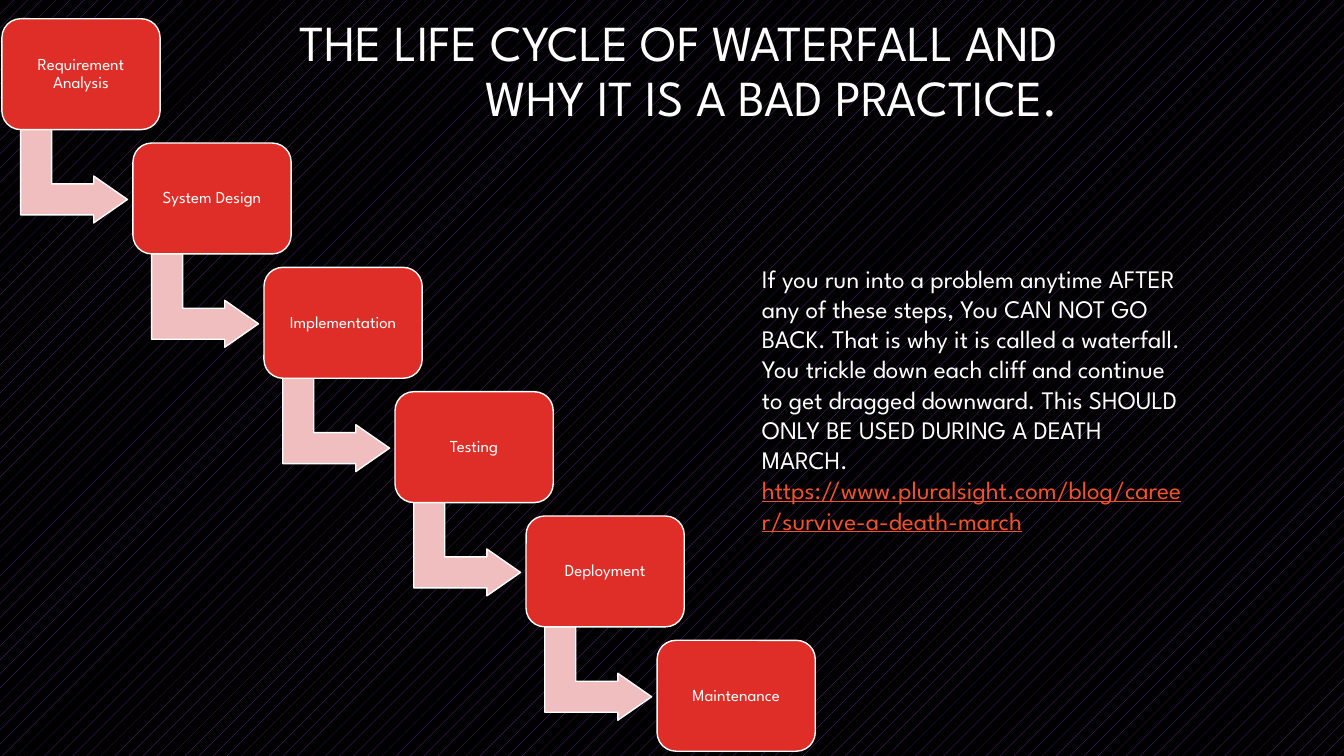
from pptx import Presentation
from pptx.dml.color import RGBColor
from pptx.enum import dml, shapes, text
from pptx.util import Pt

TITLE = "THE LIFE CYCLE OF WATERFALL AND WHY IT IS A BAD PRACTICE."
STEPS = ["Requirement Analysis", "System Design", "Implementation",
         "Testing", "Deployment", "Maintenance"]
WARNING = ("If you run into a problem anytime AFTER any of these steps, You CAN NOT GO BACK. "
           "That is why it is called a waterfall. You trickle down each cliff and continue "
           "to get dragged downward. This SHOULD ONLY BE USED DURING A DEATH MARCH. ")
ADDRESS = "https://www.pluralsight.com/blog/career/survive-a-death-march"

THEME = {
    "font": "League Spartan",
    "title": 36, "body": 18, "step": 12,
    "white": RGBColor.from_string("FFFFFF"),
    "black": RGBColor.from_string("000000"),
    "purple": RGBColor.from_string("7030A0"),
    "red": RGBColor.from_string("DF2E28"),
    "pink": RGBColor.from_string("F0BEBE"),
    "link": RGBColor.from_string("F0532B"),
}

TITLE_BOX = (196.6, 10.1, 566.6, 83.5)
WARNING_BOX = (537.1, 184.3, 316.1, 225.4)
STEP_LEFT, STEP_TOP = 1.4, 13.4
STEP_W, STEP_H = 113, 79.2
STEP_DX, STEP_DY = 93.6, 88.8
ARROW_DX, ARROW_DY = 18, 74.2
ARROW_W, ARROW_H = 67, 76.3


def add_run(p, words, size, color="white", underline=None):
    r = p.add_run()
    r.text = words
    r.font.name = THEME["font"]
    r.font.size = Pt(size)
    r.font.color.rgb = THEME[color]
    r.font.underline = underline


def add_box(s, box):
    tf = s.shapes.add_textbox(*map(Pt, box)).text_frame
    tf.word_wrap = True
    return tf


def add_shape(s, kind, box, fill, adjustments):
    sp = s.shapes.add_shape(kind, *map(Pt, box))
    sp.shadow.inherit = False
    sp.fill.solid()
    sp.fill.fore_color.rgb = THEME[fill]
    sp.line.color.rgb = THEME["white"]
    sp.line.width = Pt(1)
    for i, value in enumerate(adjustments):
        sp.adjustments[i] = value
    return sp


def add_step(s, i, label):
    left, top = STEP_LEFT + i * STEP_DX, STEP_TOP + i * STEP_DY
    if i < len(STEPS) - 1:
        arrow = add_shape(s, shapes.MSO_SHAPE.BENT_UP_ARROW,
                          (left + ARROW_DX, top + ARROW_DY, ARROW_W, ARROW_H),
                          "pink", (0.33, 0.25, 0.36))
        arrow.rotation = 90
    sp = add_shape(s, shapes.MSO_SHAPE.ROUNDED_RECTANGLE,
                   (left, top, STEP_W, STEP_H), "red", (0.17,))
    tf = sp.text_frame
    tf.word_wrap = True
    tf.vertical_anchor = text.MSO_ANCHOR.MIDDLE
    tf.margin_left = tf.margin_right = tf.margin_top = tf.margin_bottom = Pt(3.6)
    p = tf.paragraphs[0]
    p.alignment = text.PP_ALIGN.CENTER
    p.line_spacing = 0.9
    add_run(p, label, THEME["step"])


def main():
    prs = Presentation()
    prs.slide_width, prs.slide_height = Pt(960), Pt(540)
    s = prs.slides.add_slide(prs.slide_layouts[6])

    fill = s.background.fill
    fill.patterned()
    fill.pattern = dml.MSO_PATTERN.PERCENT_5
    fill.fore_color.rgb = THEME["purple"]
    fill.back_color.rgb = THEME["black"]

    tf = add_box(s, TITLE_BOX)
    tf.vertical_anchor = text.MSO_ANCHOR.MIDDLE
    p = tf.paragraphs[0]
    p.alignment = text.PP_ALIGN.RIGHT
    p.line_spacing = 0.9
    add_run(p, TITLE, THEME["title"])

    for i, label in enumerate(STEPS):
        add_step(s, i, label)

    tf = add_box(s, WARNING_BOX)
    tf.auto_size = text.MSO_AUTO_SIZE.SHAPE_TO_FIT_TEXT
    p = tf.paragraphs[0]
    add_run(p, WARNING, THEME["body"])
    add_run(p, ADDRESS, THEME["body"], "link", True)

    prs.save("out.pptx")


if __name__ == "__main__":
    main()
